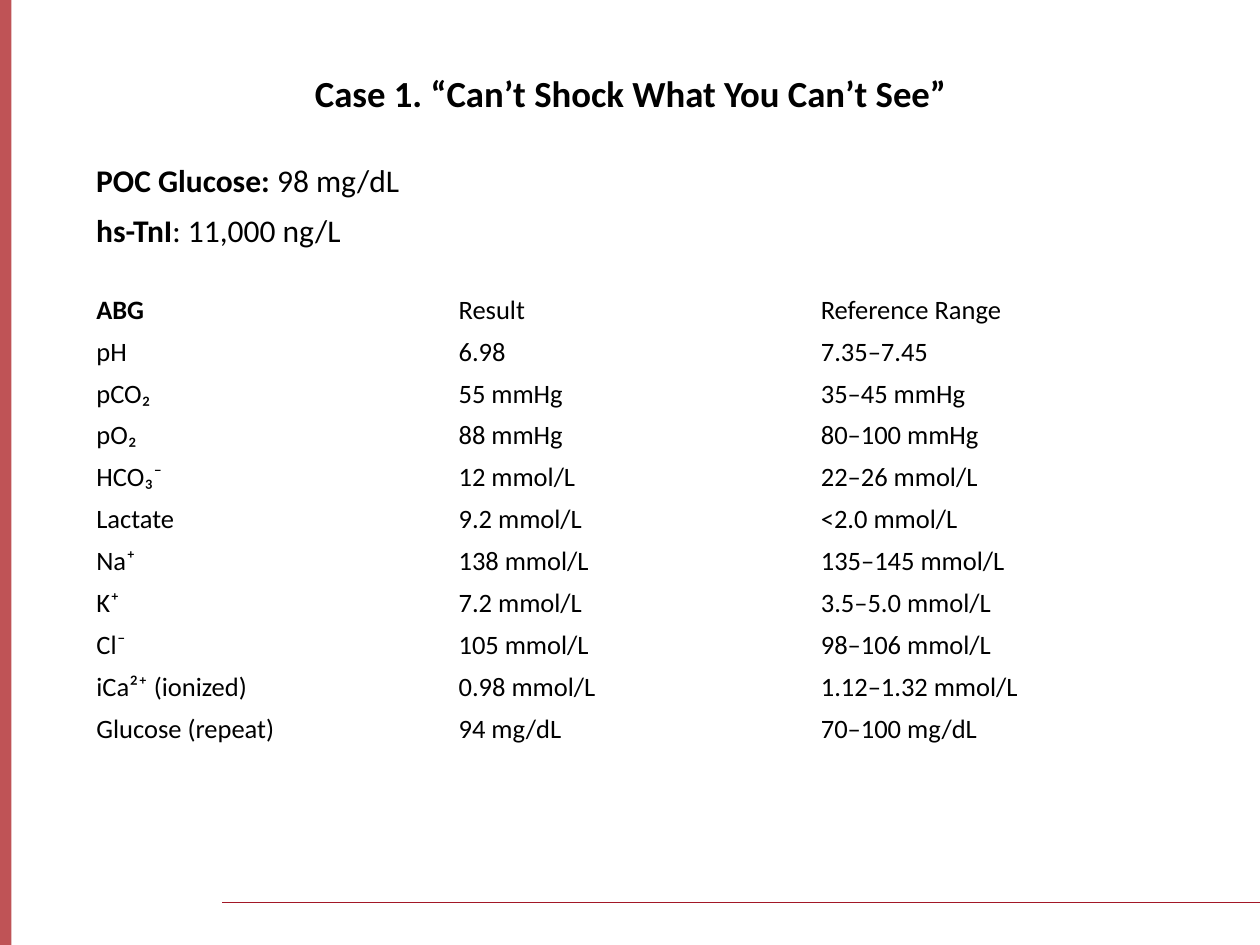
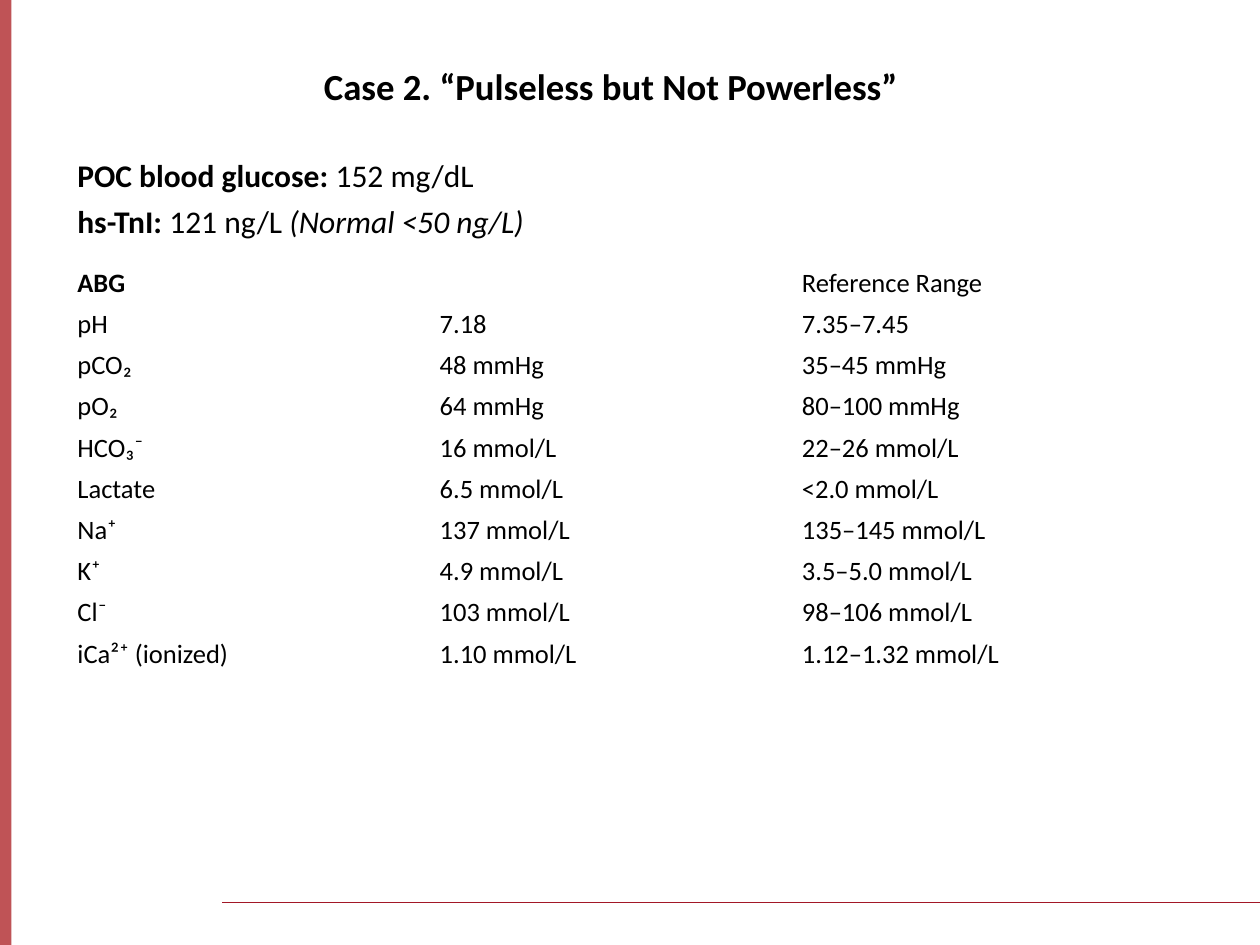
import pptx
import pptx.dml.color
import pptx.enum.shapes
import pptx.enum.text
import pptx.oxml
import pptx.oxml.ns
import pptx.util

WIDTH, HEIGHT = pptx.util.Inches(13.33), pptx.util.Inches(10)
COLORS = {"text": "000000", "band": "AF282C", "rule": "A21727"}
BASE = {"name": "Calibri", "bold": False}
TITLE = {**BASE, "size": pptx.util.Pt(28), "bold": True}
VALUE = {**BASE, "size": pptx.util.Pt(24)}
LABEL = {**VALUE, "bold": True}
NOTE = {**VALUE, "italic": True}
CELL = {**BASE, "size": pptx.util.Pt(20.2)}
HEADING = {**CELL, "bold": True}
NO_GRID_STYLE = "{2D5ABB26-0587-4C30-8999-92F81FD0307C}"
TEXT_WIDTH, LINE_HEIGHT, TITLE_HEIGHT = 52.35, 5, 5.7
COLUMN_WIDTH = 28.75
CELL_MARGIN = pptx.util.Inches(0.04)

ANALYTES = [
    ("pH", "7.35–7.45"),
    ("pCO₂", "35–45 mmHg"),
    ("pO₂", "80–100 mmHg"),
    ("HCO₃⁻", "22–26 mmol/L"),
    ("Lactate", "<2.0 mmol/L"),
    ("Na⁺", "135–145 mmol/L"),
    ("K⁺", "3.5–5.0 mmol/L"),
    ("Cl⁻", "98–106 mmol/L"),
    ("iCa²⁺ (ionized)", "1.12–1.32 mmol/L"),
    ("Glucose (repeat)", "70–100 mg/dL"),
]

# Positions are percentages of the slide's width (left) and height (top).
CASES = [
    {
        "title": "Case 1. “Can’t Shock What You Can’t See”",
        "title_at": (23.86, 7),
        "left": 6.9,
        "findings": [
            (16.5, [("POC Glucose: ", LABEL), ("98 mg/dL", VALUE)]),
            (21.8, [("hs-TnI", LABEL), (": 11,000 ng/L", VALUE)]),
        ],
        "table_top": 30.6,
        "row_height": 4.44,
        "result_heading": "Result",
        "results": ["6.98", "55 mmHg", "88 mmHg", "12 mmol/L", "9.2 mmol/L",
                    "138 mmol/L", "7.2 mmol/L", "105 mmol/L", "0.98 mmol/L",
                    "94 mg/dL"],
    },
    {
        "title": "Case 2. “Pulseless but Not Powerless”",
        "title_at": (22.28, 6.2),
        "left": 5.4,
        "findings": [
            (16, [("POC blood glucose: ", LABEL), ("152 mg/dL", VALUE)]),
            (20.9, [("hs-TnI: ", LABEL), ("121 ng/L ", VALUE),
                    ("(Normal <50 ng/L)", NOTE)]),
        ],
        "table_top": 27.8,
        "row_height": 4.36,
        "result_heading": "",
        "results": ["7.18", "48 mmHg", "64 mmHg", "16 mmol/L", "6.5 mmol/L",
                    "137 mmol/L", "4.9 mmol/L", "103 mmol/L", "1.10 mmol/L"],
    },
]


def across(percent):
    return round(WIDTH * percent / 100)


def down(percent):
    return round(HEIGHT * percent / 100)


def color(role):
    return pptx.dml.color.RGBColor.from_string(COLORS[role])


def write(paragraph, parts):
    """Add each (text, format) part to the paragraph as a run."""
    for text, style in parts:
        run = paragraph.add_run()
        run.text = text
        for attribute, value in style.items():
            setattr(run.font, attribute, value)
        run.font.color.rgb = color("text")


def move_frame_to_master(prs, slide):
    """Draw the side band and footer rule, then share them through the master."""
    band = slide.shapes.add_shape(
        pptx.enum.shapes.MSO_SHAPE.RECTANGLE, 0, 0, across(0.9), HEIGHT)
    band.shadow.inherit = False
    band.fill.solid()
    band.fill.fore_color.rgb = color("band")
    band.line.fill.background()
    tint = next(band.element.iter(pptx.oxml.ns.qn("a:srgbClr")))
    tint.append(pptx.oxml.parse_xml(
        f'<a:alpha {pptx.oxml.ns.nsdecls("a")} val="80000"/>'))

    rule = slide.shapes.add_connector(
        pptx.enum.shapes.MSO_CONNECTOR.STRAIGHT,
        across(17.63), down(95.5), WIDTH, down(95.5))
    rule.line.color.rgb = color("rule")
    rule.line.width = pptx.util.Pt(1)
    rule.element.spPr.append(pptx.oxml.parse_xml(
        f'<a:effectLst {pptx.oxml.ns.nsdecls("a")}/>'))

    for part in (band, rule):
        prs.slide_master.shapes.element.append(part.element)


def set_title(slide, text, left, top):
    title = slide.shapes.title
    title.left, title.top = across(left), down(top)
    title.width, title.height = across(TEXT_WIDTH), down(TITLE_HEIGHT)
    frame = title.text_frame
    frame.vertical_anchor = pptx.enum.text.MSO_ANCHOR.TOP
    frame.auto_size = pptx.enum.text.MSO_AUTO_SIZE.NONE
    frame.word_wrap = True
    frame.paragraphs[0].alignment = pptx.enum.text.PP_ALIGN.CENTER
    write(frame.paragraphs[0], [(text, TITLE)])


def add_finding(slide, left, top, parts):
    finding = slide.shapes.add_textbox(
        across(left), down(top), across(TEXT_WIDTH), down(LINE_HEIGHT))
    finding.text_frame.word_wrap = True
    finding.text_frame.auto_size = pptx.enum.text.MSO_AUTO_SIZE.SHAPE_TO_FIT_TEXT
    write(finding.text_frame.paragraphs[0], parts)


def add_blood_gas_table(slide, case):
    rows = [("ABG", case["result_heading"], "Reference Range")]
    rows += [(analyte, result, normal)
             for (analyte, normal), result in zip(ANALYTES, case["results"])]
    frame = slide.shapes.add_table(
        len(rows), 3, across(case["left"]), down(case["table_top"]),
        across(3 * COLUMN_WIDTH), down(len(rows) * case["row_height"]))
    next(frame.element.iter(pptx.oxml.ns.qn("a:tableStyleId"))).text = NO_GRID_STYLE
    frame.table.first_row = frame.table.horz_banding = False
    for row, texts in enumerate(rows):
        for column, text in enumerate(texts):
            cell = frame.table.cell(row, column)
            cell.fill.background()
            cell.margin_top = cell.margin_bottom = CELL_MARGIN
            cell.vertical_anchor = pptx.enum.text.MSO_ANCHOR.MIDDLE
            if text:
                style = HEADING if row == column == 0 else CELL
                write(cell.text_frame.paragraphs[0], [(text, style)])


def main():
    prs = pptx.Presentation()
    prs.slide_width, prs.slide_height = WIDTH, HEIGHT
    title_only = prs.slide_layouts.get_by_name("Title Only")
    for case in CASES:
        slide = prs.slides.add_slide(title_only)
        set_title(slide, case["title"], *case["title_at"])
        for top, parts in case["findings"]:
            add_finding(slide, case["left"], top, parts)
        add_blood_gas_table(slide, case)
    move_frame_to_master(prs, prs.slides[0])
    prs.save("out.pptx")


if __name__ == "__main__":
    main()
